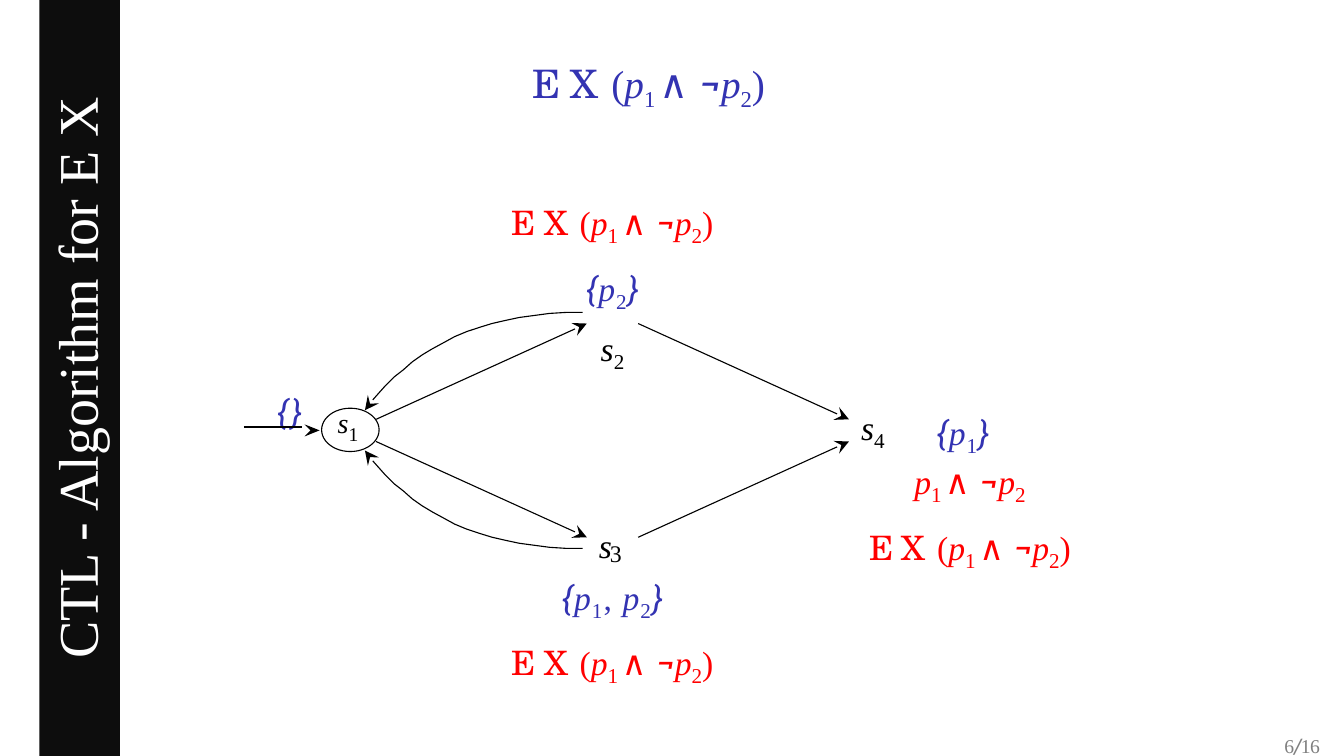
from lxml import etree
from pptx import Presentation, util as u
from pptx.dml.color import RGBColor
from pptx.enum import shapes, text
from pptx.oxml.ns import qn

CELL = u.Inches(0.01)  # every length below counts columns or rows of this grid
WIDE, HIGH = 1333, 750
BLUE, RED, BLACK, GREY, WHITE = "3333B2", "FF0000", "000000", "7F7F7F", "FFFFFF"
ROMAN, SCHOOL, SIGN = "Times New Roman", "TeX Gyre Schola", "Roboto"
LEFT, MID = text.PP_ALIGN.LEFT, text.PP_ALIGN.CENTER

# Tokens in any other face than upright roman, and tokens that change the tracking
FACES = {"E ": SCHOOL, "X ": SCHOOL, "/": "DejaVu Sans",
         **dict.fromkeys(["{", "}", "{}", "∧ ", "¬"], SIGN)}
SLANT = {"p", "s", "/", "{", "}", "{}", "∧ ", "¬"}
TRACK = {"E ": -0.7, "X ": 0.9, "(": -0.8, "1 ": -1.2, "∧ ": 0.8,
         "¬": 0, "{": 0.8, "}": 0.8, "{}": 2, "s": -1.4}


def hue(code):
    return RGBColor.from_string(code)


def write(para, line, tint, size, low):
    """Write tokens parted by |; digits are subscripts of size low, if given."""
    track = -0.5
    for token in line.split("|"):
        run = para.add_run()
        run.text = token
        sub = low and token[0].isdigit()
        track = TRACK.get(token, track)
        look = {"name": FACES.get(token, ROMAN), "italic": token in SLANT,
                "size": u.Pt(low if sub else size)}
        for key, val in look.items():
            setattr(run.font, key, val)
        run.font.color.rgb = hue(tint)
        props = run._r.get_or_add_rPr()
        props.set("spc", str(round(track * 100)))
        if sub:
            props.set("baseline", "-22000")


deck = Presentation()
deck.slide_width, deck.slide_height = WIDE * CELL, HIGH * CELL
slide = deck.slides.add_slide(deck.slide_layouts[5])
draw = slide.shapes

# Side band with the title
band = 80
title = draw.title
place = {"left": 79 - HIGH // 2, "top": (HIGH - band) // 2, "width": HIGH, "height": band}
for key, val in place.items():
    setattr(title, key, val * CELL)
title.rotation = 270
title.fill.solid()
title.fill.fore_color.rgb = hue("0D0D0D")
title.text = "CTL - Algorithm for E X"
frame = title.text_frame
frame.auto_size = text.MSO_AUTO_SIZE.NONE
frame.vertical_anchor = text.MSO_ANCHOR.MIDDLE
head = frame.paragraphs[0]
head.alignment, head.line_spacing = MID, 0.9
look = {"name": ROMAN, "size": u.Pt(40)}
for key, val in look.items():
    setattr(head.runs[0].font, key, val)
head.runs[0].font.color.rgb = hue(WHITE)

# Formulas and labels: box, alignment, sizes, lines of (tokens, colour, space before)
BOTH = "p|1 |∧ |¬|p|2"
NEXT = f"E |X |(|{BOTH}|)"
labels = [
    ((528, 59, 286, 47), LEFT, 28, 28, [(NEXT, BLUE, 0)]),
    ((474, 198, 267, 149), MID, 24, 26,
     [(NEXT, RED, 0), ("{|p|2|}", BLUE, 12), ("s|2", BLACK, 8.3)]),
    ((489, 570, 237, 97), MID, 24, 26, [("{|p|1|, |p|2|}", BLUE, 0), (NEXT, RED, 11.6)]),
    ((836, 454, 252, 99), MID, 24, 26, [(BOTH, RED, 0), (NEXT, RED, 13.1)]),
    ((929, 406, 74, 41), LEFT, 24, 26, [("{|p|1|}", BLUE, 0)]),
    ((854, 401, 45, 41), LEFT, 24, 26, [("s|4", BLACK, 0)]),
    ((594, 521, 15, 41), LEFT, 24, None, [("s", BLACK, 0)]),
    ((605, 534, 17, 29), LEFT, 17, None, [("3", BLACK, 0)]),
    ((275, 388, 40, 41), LEFT, 24, None, [("{}", BLUE, 0)]),
    ((335, 397, 34, 36), LEFT, 20, 24, [("s|1", BLACK, 0)]),
    ((1274, 728, 50, 24), LEFT, 14, None, [("6|/|16", GREY, 0)]),
]
for box, align, size, low, lines in labels:
    frame = draw.add_textbox(*(n * CELL for n in box)).text_frame
    frame.word_wrap = True
    for side in ("left", "top", "right", "bottom"):
        setattr(frame, f"margin_{side}", 0)
    for row, (line, tint, gap) in enumerate(lines):
        para = frame.add_paragraph() if row else frame.paragraphs[0]
        para.alignment = align
        if gap:
            para.space_before = u.Pt(gap)
        write(para, line, tint, size, low)

# State s1 and the arrow that enters it
axis = 427
state = draw.add_shape(shapes.MSO_SHAPE.OVAL, *(n * CELL for n in (319, 405, 57, 43)))
state.fill.background()
state.line.color.rgb = hue(BLACK)
state.line.width = u.Pt(0.8)
state.shadow.inherit = False

form = draw.build_freeform(302, axis - 6, scale=CELL)
form.add_line_segments([(308, axis), (302, axis + 6), (317, axis)])
tip = form.convert_to_shape()
tip.fill.solid()
tip.fill.fore_color.rgb = hue(BLACK)
tip.line.fill.background()
tip.shadow.inherit = False

# Moves between states: the lower half mirrors the upper one about the axis
strokes = [((242, 424), (300, 424), 1.5, False)]
curves = []
for sign in (-1, 1):
    near, far = axis + sign * 11, axis + sign * 106
    strokes += [((373, near), (582, far), 0.8, True),
                ((633, far), (842, near), 0.8, True)]
    bend = [(578, 117), (476, 117), (412, 83), (366, 26)]
    steps = []
    for k in range(19):
        t = k / 18
        share = ((1 - t) ** 3, 3 * t * (1 - t) ** 2, 3 * t * t * (1 - t), t ** 3)
        across, off = (sum(s * p[i] for s, p in zip(share, bend)) for i in (0, 1))
        steps.append((round(across), round(axis + sign * off)))
    steps.append((362, axis + sign * 20))
    form = draw.build_freeform(*steps[0], scale=CELL)
    form.add_line_segments(steps[1:], close=False)
    curve = form.convert_to_shape()
    curve.fill.background()
    curves.append((curve, 0.8, True))

links = [(draw.add_connector(shapes.MSO_CONNECTOR.STRAIGHT, *(n * CELL for n in start + end)),
          weight, arrow) for start, end, weight, arrow in strokes]
for link, weight, arrow in links + curves:
    link.line.color.rgb = hue(BLACK)
    link.line.width = u.Pt(weight)
    if arrow:
        etree.SubElement(link.line._get_or_add_ln(), qn("a:tailEnd"),
                         type="stealth", w="lg", len="lg")
    etree.SubElement(link._element.spPr, qn("a:effectLst"))

deck.save("out.pptx")
